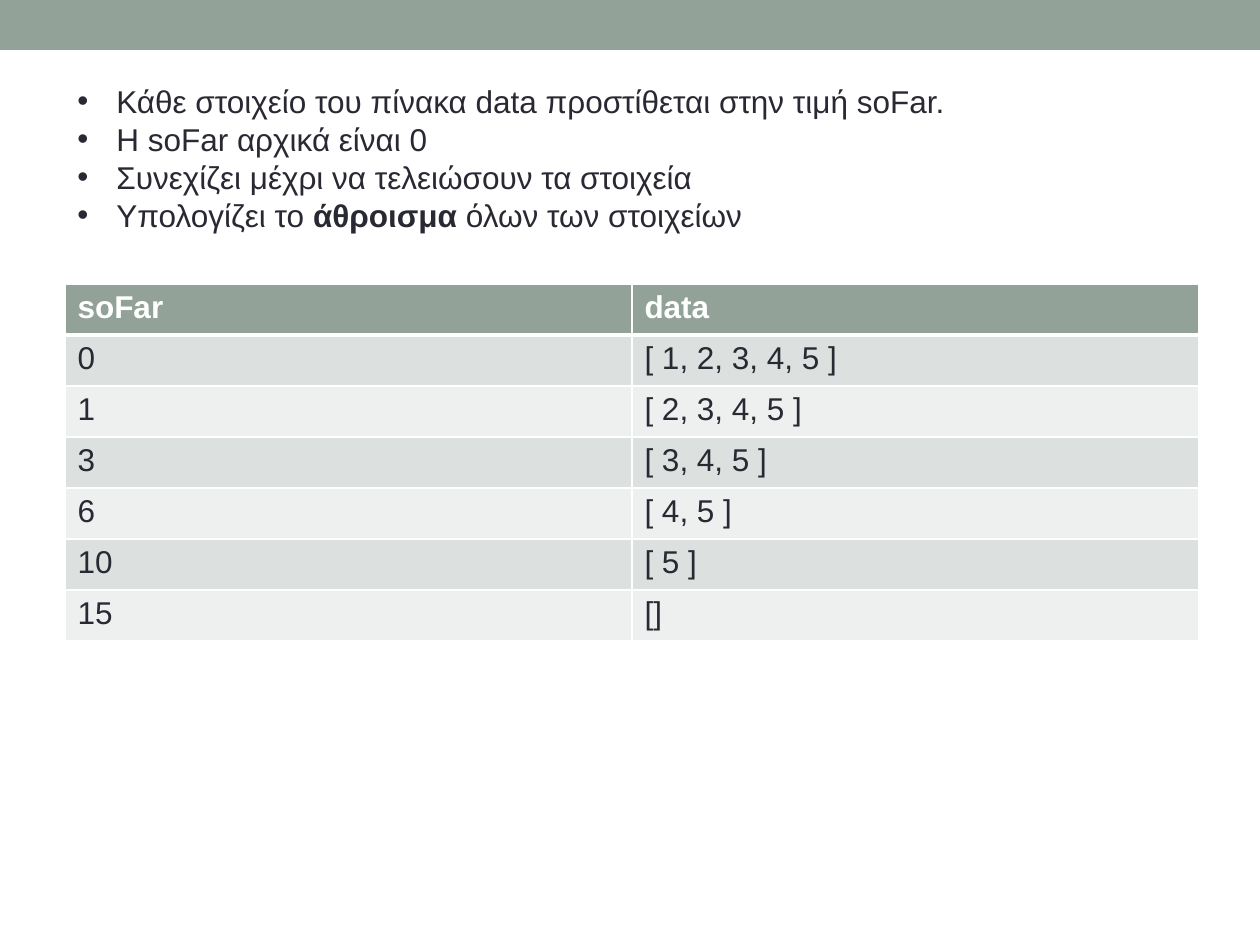
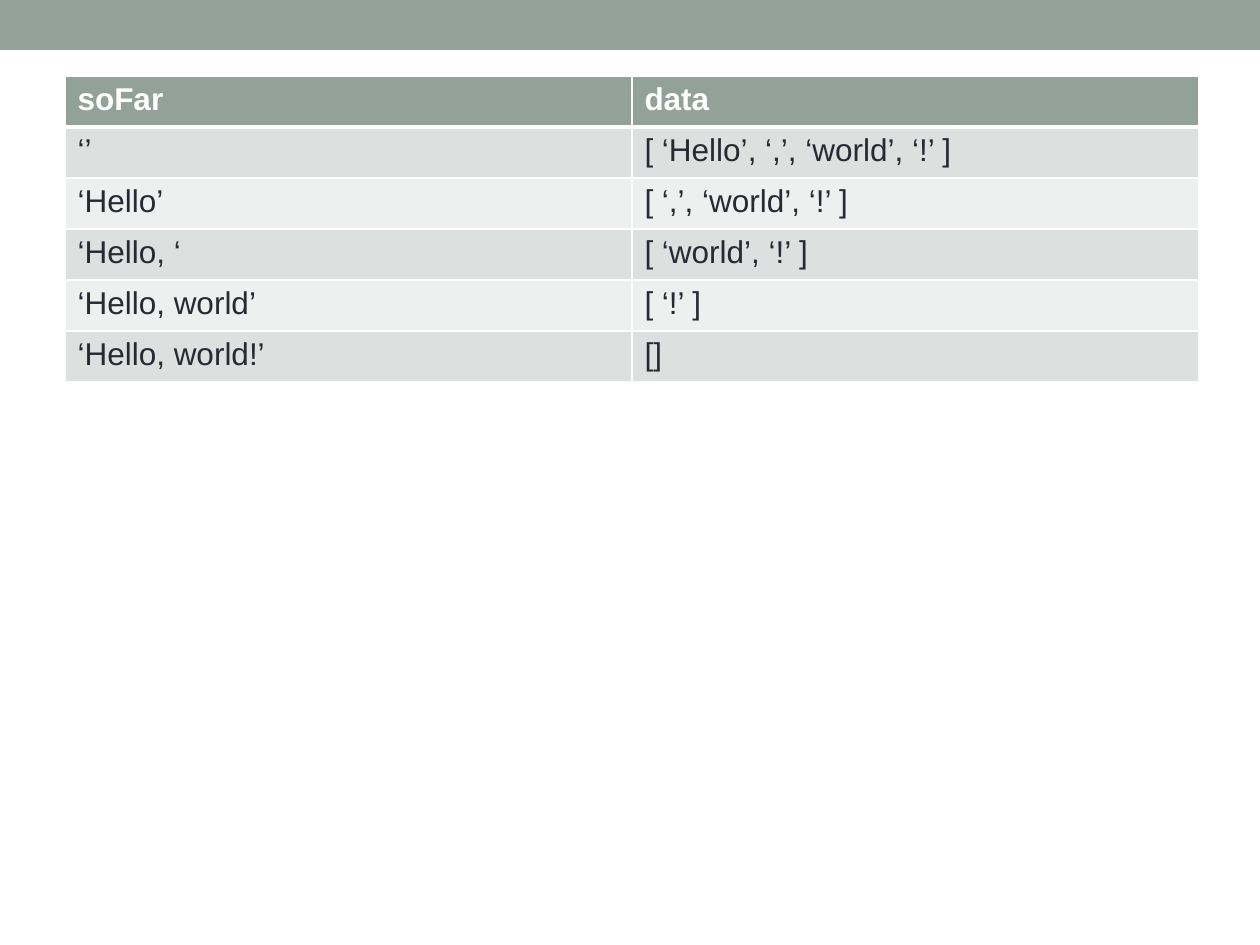
from lxml import etree
from pptx import Presentation
from pptx.dml.color import RGBColor
from pptx.enum.shapes import MSO_SHAPE as SHAPE
from pptx.enum.text import MSO_AUTO_SIZE as AUTO
from pptx.oxml.ns import qn
from pptx.util import Pt

PX = 914400 // 126  # EMU in one pixel
WIDTH, HEIGHT = 1260, 945
LEFT, TABLE_WIDTH, ROW_HEIGHT = 65, 1134, 51
FONT = "Arial"
COLORS = {"accent": "93A299", "text": "292934", "white": "FFFFFF",
          "odd": "DCE0DE", "even": "EEF0EF"}


def px(*lengths):
    """Turn pixel lengths into EMU."""
    return [round(n * PX) for n in lengths]


def rgb(name):
    """Look up a colour of the palette."""
    return RGBColor.from_string(COLORS[name])


def write(p, text, size=18, color="text", bold=False):
    """Add one formatted run to a paragraph."""
    r = p.add_run()
    r.text = text
    r.font.name, r.font.size, r.font.bold = FONT, Pt(size), bold
    r.font.color.rgb = rgb(color)


def add_bullet(p, indent=39):
    """Give a paragraph a round bullet and a hanging indent."""
    pPr = p._p.get_or_add_pPr()
    (emu,) = px(indent)
    pPr.set("marL", str(emu))
    pPr.set("indent", str(-emu))
    etree.SubElement(pPr, qn("a:buFont"), typeface=FONT)
    etree.SubElement(pPr, qn("a:buChar"), char="•")


def add_borders(cell, color="white", **widths):
    """Draw the cell's four borders, 1 pt unless a side says otherwise."""
    tcPr = cell._tc.get_or_add_tcPr()
    for side in "LRTB":
        ln = etree.SubElement(tcPr, qn(f"a:ln{side}"), w=str(Pt(widths.get(side, 1))))
        fill = etree.SubElement(ln, qn("a:solidFill"))
        etree.SubElement(fill, qn("a:srgbClr"), val=COLORS[color])


def add_band_slide(prs):
    """Add a blank slide with the band along its top edge."""
    s = prs.slides.add_slide(prs.slide_layouts[6])
    band = s.shapes.add_shape(SHAPE.RECTANGLE, *px(0, 0, WIDTH, 50))
    band.shadow.inherit = False
    band.fill.solid()
    band.fill.fore_color.rgb = rgb("accent")
    band.line.fill.background()
    return s


def add_bullets(s, items, left, top, width, height):
    """Place a bulleted list; each item is a list of (text, bold) runs."""
    tf = s.shapes.add_textbox(*px(left, top, width, height)).text_frame
    tf.word_wrap = True
    tf.auto_size = AUTO.SHAPE_TO_FIT_TEXT
    for i, runs in enumerate(items):
        p = tf.add_paragraph() if i else tf.paragraphs[0]
        add_bullet(p)
        for text, bold in runs:
            write(p, text, bold=bold)


def add_trace_table(s, rows, left, top, width):
    """Place the table of soFar and data, with a header and banded rows."""
    rows = [("soFar", "data"), *rows]
    table = s.shapes.add_table(
        len(rows), 2, *px(left, top, width, ROW_HEIGHT * len(rows))).table
    for i, row in enumerate(rows):
        header = i == 0
        shade = "accent" if header else "odd" if i % 2 else "even"
        for cell, text in zip(table.rows[i].cells, row):
            add_borders(cell, B=3 if header else 1, T=3 if i == 1 else 1)
            cell.fill.solid()
            cell.fill.fore_color.rgb = rgb(shade)
            write(cell.text_frame.paragraphs[0], text, bold=header,
                  color="white" if header else "text")


SUM_NOTES = [
    [("Κάθε στοιχείο του πίνακα data προστίθεται στην τιμή soFar.", False)],
    [("Η soFar αρχικά είναι 0", False)],
    [("Συνεχίζει μέχρι να τελειώσουν τα στοιχεία", False)],
    [("Υπολογίζει το ", False), ("άθροισμα", True), (" όλων των στοιχείων", False)],
]
SUM_ROWS = [
    ("0", "[ 1, 2, 3, 4, 5 ]"),
    ("1", "[ 2, 3, 4, 5 ]"),
    ("3", "[ 3, 4, 5 ]"),
    ("6", "[ 4, 5 ]"),
    ("10", "[ 5 ]"),
    ("15", "[]"),
]
JOIN_ROWS = [
    ("‘’", "[ ‘Hello’, ‘,’, ‘world’, ‘!’ ]"),
    ("‘Hello’", "[ ‘,’, ‘world’, ‘!’ ]"),
    ("‘Hello, ‘", "[ ‘world’, ‘!’ ]"),
    ("‘Hello, world’", "[ ‘!’ ]"),
    ("‘Hello, world!’", "[]"),
]

prs = Presentation()
prs.slide_width, prs.slide_height = px(WIDTH, HEIGHT)

s = add_band_slide(prs)
add_trace_table(s, SUM_ROWS, LEFT, 284, TABLE_WIDTH)
add_bullets(s, SUM_NOTES, LEFT, 76, 1141, 165)

s = add_band_slide(prs)
add_trace_table(s, JOIN_ROWS, LEFT, 76, TABLE_WIDTH)

prs.save("out.pptx")
